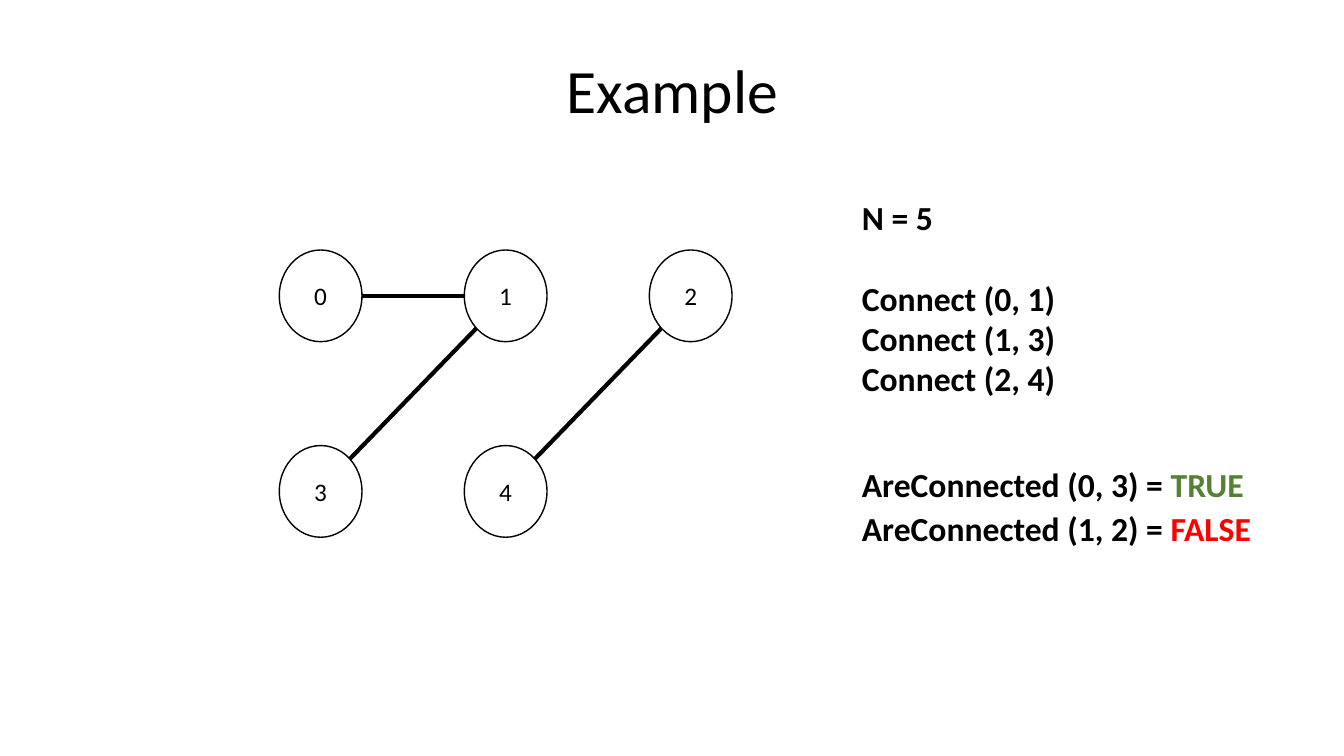
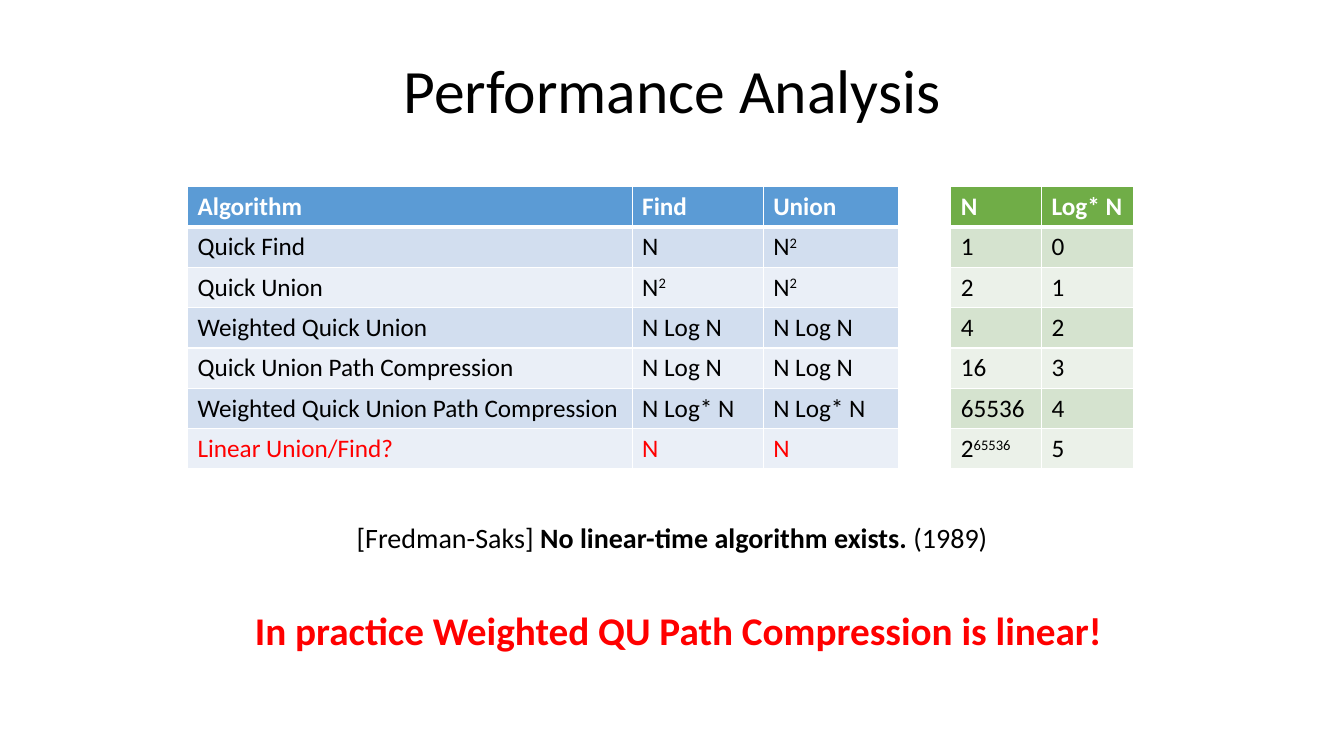
from math import hypot

from lxml import etree
from pptx import Presentation
from pptx.dml.color import RGBColor
from pptx.enum.shapes import MSO_CONNECTOR, MSO_SHAPE
from pptx.enum.text import MSO_ANCHOR, PP_ALIGN
from pptx.oxml import parse_xml
from pptx.oxml.ns import nsdecls, qn
from pptx.util import Inches, Pt

LEFT, CENTER = PP_ALIGN.LEFT, PP_ALIGN.CENTER
TOP, MIDDLE = MSO_ANCHOR.TOP, MSO_ANCHOR.MIDDLE
OVAL, STRAIGHT = MSO_SHAPE.OVAL, MSO_CONNECTOR.STRAIGHT

FACE = "Calibri"
COLORS = {
    "black": "000000", "white": "FFFFFF", "red": "FF0000", "true": "548235",
    "blue": "5B9BD5", "blue dark": "D2DEEF", "blue pale": "EAEFF7",
    "green": "70AD47", "green dark": "D5E3CF", "green pale": "EBF1E9",
}
BASE = {"size": 18, "bold": False, "color": "black"}
TITLE = {"size": 44}
CODE = {"size": 24, "bold": True}
HEAD = {"bold": True, "color": "white"}
RED = {"color": "red"}
SUP = {"base": 30}

# Graph: each node has a column and a row on the grid
NODES = [(0, 0), (1, 0), (2, 0), (0, 1), (1, 1)]
EDGES = [(0, 1), (3, 1), (4, 2)]
NODE_W, NODE_H = 0.82, 0.91
GRID_X, GRID_Y, STEP_X, STEP_Y = 2.77, 2.48, 1.835, 1.94

CODE_X = 8.45
CALLS = ["Connect (0, 1)", "Connect (1, 3)", "Connect (2, 4)"]
TESTS = [
    (4.55, "AreConnected (0, 3) = ", "TRUE", "true"),
    (4.99, "AreConnected (1, 2) = ", "FALSE", "red"),
]

# Tables: a cell is a string, or a list of runs
SQUARE = ["N", ("2", SUP)]
ROW_H, TABLE_Y = 0.4, 1.85
TABLES = [
    {"left": 1.86, "cols": [4.41, 1.3, 1.34], "hue": "blue", "rows": [
        ["Algorithm", "Find", "Union"],
        ["Quick Find", "N", SQUARE],
        ["Quick Union", SQUARE, SQUARE],
        ["Weighted Quick Union", "N Log N", "N Log N"],
        ["Quick Union Path Compression", "N Log N", "N Log N"],
        ["Weighted Quick Union Path Compression", "N Log* N", "N Log* N"],
        [[("Linear Union/Find?", RED)], [("N", RED)], [("N", RED)]],
    ]},
    {"left": 9.43, "cols": [0.9, 0.91], "hue": "green", "rows": [
        ["N", "Log* N"],
        ["1", "0"],
        ["2", "1"],
        ["4", "2"],
        ["16", "3"],
        ["65536", "4"],
        [["2", ("65536", SUP)], "5"],
    ]},
]
PROOF = ["[Fredman-Saks] ",
         ("No linear-time algorithm exists. ", {"bold": True}), "(1989)"]
CLAIM = "In practice Weighted QU Path Compression is linear!"


def rgb(name):
    return RGBColor.from_string(COLORS[name])


def fill_para(para, runs, fmt, align=LEFT):
    """Write a string, or a list of strings and (text, format) pairs."""
    para.alignment = align
    for item in [runs] if isinstance(runs, str) else runs:
        text, extra = (item, {}) if isinstance(item, str) else item
        look = BASE | fmt | extra
        run = para.add_run()
        run.text = text
        values = {"name": FACE, "size": Pt(look["size"]), "bold": look["bold"]}
        for key, value in values.items():
            setattr(run.font, key, value)
        run.font.color.rgb = rgb(look["color"])
        if "base" in look:
            run._r.get_or_add_rPr().set("baseline", str(look["base"] * 1000))


def add_text(slide, box, paras, fmt, align=LEFT, anchor=TOP, wrap=True):
    frame = slide.shapes.add_textbox(*map(Inches, box)).text_frame
    frame.word_wrap = wrap
    frame.vertical_anchor = anchor
    for i, runs in enumerate(paras):
        para = frame.add_paragraph() if i else frame.paragraphs[0]
        fill_para(para, runs, fmt, align)
    return frame


def add_slide(deck, title):
    slide = deck.slides.add_slide(deck.slide_layouts[6])
    frame = add_text(slide, (0.92, 0, 11.5, 1.85), [title], TITLE,
                     CENTER, MIDDLE)
    frame.paragraphs[0].line_spacing = 0.9
    return slide


def add_node(slide, label, col, row):
    box = (GRID_X + col * STEP_X, GRID_Y + row * STEP_Y, NODE_W, NODE_H)
    node = slide.shapes.add_shape(OVAL, *map(Inches, box))
    node.shadow.inherit = False
    node.fill.solid()
    node.fill.fore_color.rgb = rgb("white")
    node.line.color.rgb = rgb("black")
    node.line.width = Pt(1)
    node.text_frame.vertical_anchor = MIDDLE
    fill_para(node.text_frame.paragraphs[0], label, {}, CENTER)


def rim(node, other):
    """Point on the rim of a node, on the side that faces another node."""
    (col, row), (to_col, to_row) = node, other
    dx, dy = to_col - col, to_row - row
    size = hypot(dx, dy)
    x = GRID_X + col * STEP_X + NODE_W / 2 * (1 + dx / size)
    y = GRID_Y + row * STEP_Y + NODE_H / 2 * (1 + dy / size)
    return Inches(x), Inches(y)


def add_edge(slide, start, end):
    edge = slide.shapes.add_connector(STRAIGHT, *rim(start, end),
                                      *rim(end, start))
    edge.line.color.rgb = rgb("black")
    edge.line.width = Pt(3)
    etree.SubElement(edge._element.spPr, qn("a:effectLst"))


def add_borders(cell, row):
    """Draw thin white borders, thick between the header and the body."""
    thick = {"T": row == 1, "B": row == 0}
    for side in "LRTB":
        width = Pt(3 if thick.get(side) else 1)
        cell._tc.get_or_add_tcPr().append(parse_xml(
            f'<a:ln{side} {nsdecls("a")} w="{width}"><a:solidFill>'
            f'<a:srgbClr val="{COLORS["white"]}"/></a:solidFill></a:ln{side}>'))


def add_grid(slide, left, cols, hue, rows):
    box = (left, TABLE_Y, sum(cols), ROW_H * len(rows))
    table = slide.shapes.add_table(len(rows), len(cols),
                                   *map(Inches, box)).table
    for col, width in zip(table.columns, cols):
        col.width = Inches(width)
    for r, row in enumerate(rows):
        shade = f"{hue} {'dark' if r % 2 else 'pale'}" if r else hue
        for c, runs in enumerate(row):
            cell = table.cell(r, c)
            add_borders(cell, r)
            cell.fill.solid()
            cell.fill.fore_color.rgb = rgb(shade)
            fill_para(cell.text_frame.paragraphs[0], runs, {} if r else HEAD)


def example(deck):
    slide = add_slide(deck, "Example")
    for i, spot in enumerate(NODES):
        add_node(slide, str(i), *spot)
    for a, b in EDGES:
        add_edge(slide, NODES[a], NODES[b])
    frame = add_text(slide, (CODE_X, 1.9, 3.45, 2.12), ["N = 5"] + CALLS, CODE)
    frame.paragraphs[0].space_after = Pt(29)
    for top, call, result, color in TESTS:
        add_text(slide, (CODE_X, top, 4.1, 0.5),
                 [[call, (result, {"color": color})]], CODE, wrap=False)


def analysis(deck):
    slide = add_slide(deck, "Performance Analysis")
    for data in TABLES:
        add_grid(slide, **data)
    add_text(slide, (0, 5.11, 13.33, 0.44), [PROOF], {"size": 20}, CENTER)
    add_text(slide, (2.43, 5.97, 8.81, 0.57), [CLAIM],
             {"size": 28, "bold": True, "color": "red"})


def main():
    deck = Presentation()
    deck.slide_width, deck.slide_height = Inches(13.33), Inches(7.5)
    example(deck)
    analysis(deck)
    deck.save("out.pptx")


if __name__ == "__main__":
    main()
